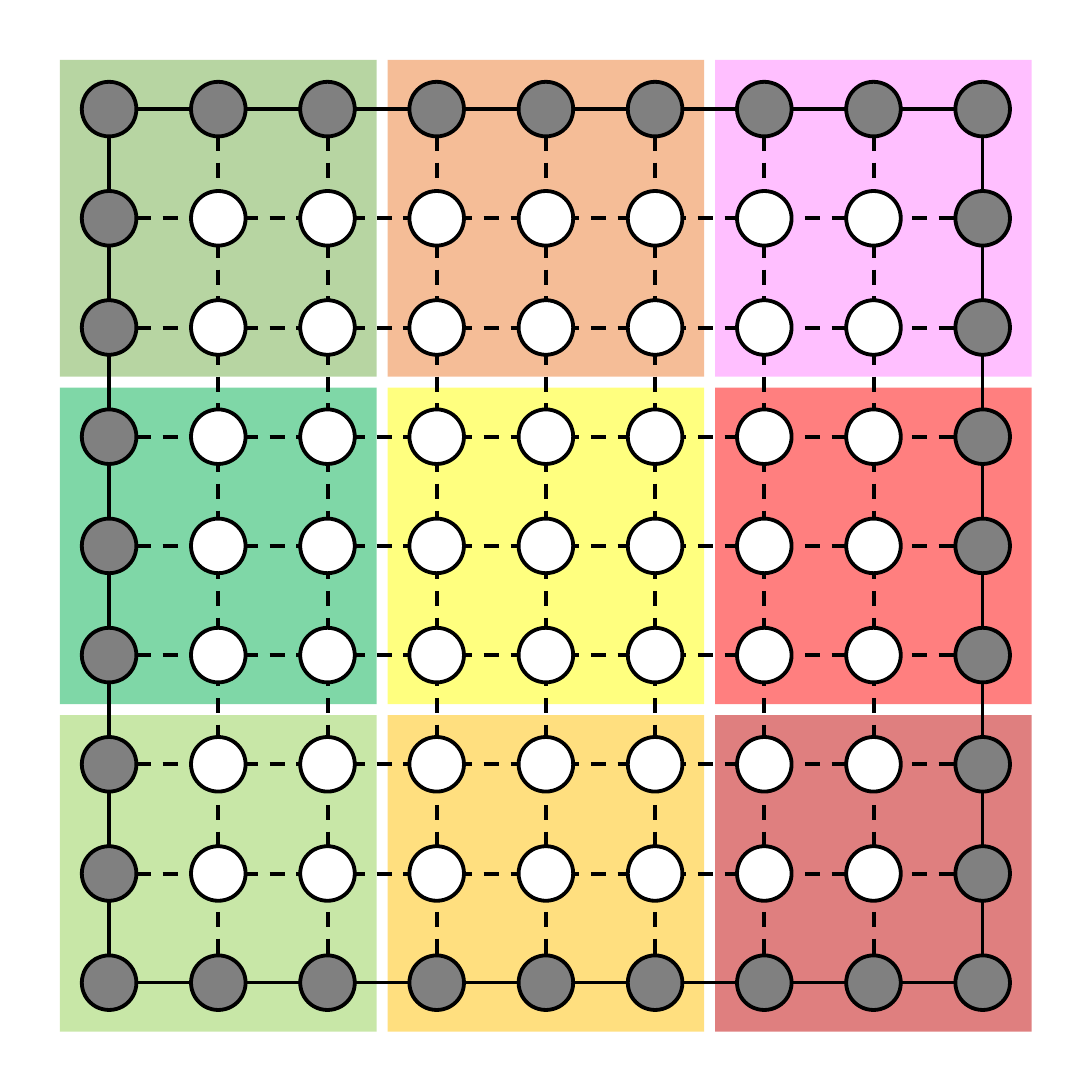
from lxml.etree import SubElement
from pptx import Presentation
from pptx.dml.color import RGBColor
from pptx.enum.dml import MSO_LINE
from pptx.enum.shapes import MSO_CONNECTOR, MSO_SHAPE
from pptx.oxml.ns import qn
from pptx.util import Cm, Pt

# Colour and opacity in percent, by row from the top
TILES = [
    [("70AD47", 50), ("ED7D31", 50), ("FF00FF", 25)],
    [("00B050", 50), ("FFFF00", 50), ("FF0000", 50)],
    [("92D050", 50), ("FFC000", 50), ("C00000", 50)],
]
TILE_GAP = 0.1
NODES = 9
NODE_SIZE = 0.5
BLACK, INNER, BOUNDARY = "000000", "FFFFFF", "808080"


def rgb(color):
    return RGBColor.from_string(color)


def add_shape(s, kind, left, top, size, fill=None, line=None, opacity=100):
    """Add a square-sized shape, with lengths in centimetres."""
    sp = s.shapes.add_shape(kind, Cm(left), Cm(top), Cm(size), Cm(size))
    sp.shadow.inherit = False
    if fill:
        sp.fill.solid()
        sp.fill.fore_color.rgb = rgb(fill)
        if opacity < 100:
            clr = sp.fill._xPr.find(qn("a:solidFill"))[0]
            SubElement(clr, qn("a:alpha"), val=str(opacity * 1000))
    else:
        sp.fill.background()
    if line:
        sp.line.color.rgb = rgb(line)
        sp.line.width = Pt(1)
    else:
        sp.line.fill.background()
    return sp


def add_dashed_line(s, x1, y1, x2, y2):
    cxn = s.shapes.add_connector(
        MSO_CONNECTOR.STRAIGHT, Cm(x1), Cm(y1), Cm(x2), Cm(y2))
    cxn.line.color.rgb = rgb(BLACK)
    cxn.line.width = Pt(1)
    cxn.line.dash_style = MSO_LINE.DASH
    SubElement(cxn._element.spPr, qn("a:effectLst"))


def add_tiles(s, left, top, size):
    """Three by three translucent subdomains."""
    pitch = (size + TILE_GAP) / len(TILES)
    for row, colors in enumerate(TILES):
        for col, (color, opacity) in enumerate(colors):
            add_shape(s, MSO_SHAPE.RECTANGLE, left + col * pitch,
                      top + row * pitch, pitch - TILE_GAP,
                      fill=color, opacity=opacity)


def add_mesh(s, left, top, size):
    """Dashed inner lines, a solid frame and a node at each crossing."""
    step = size / (NODES - 1)
    last = NODES - 1

    # Inner lines
    for i in range(1, last):
        x, y = left + i * step, top + i * step
        add_dashed_line(s, x, top, x, top + size)
        add_dashed_line(s, left, y, left + size, y)

    # Frame
    add_shape(s, MSO_SHAPE.RECTANGLE, left, top, size, line=BLACK)

    # Nodes, grey on the boundary
    for row in range(NODES):
        for col in range(NODES):
            on_edge = row in (0, last) or col in (0, last)
            add_shape(s, MSO_SHAPE.OVAL,
                      left + col * step - NODE_SIZE / 2,
                      top + row * step - NODE_SIZE / 2, NODE_SIZE,
                      fill=BOUNDARY if on_edge else INNER, line=BLACK)


prs = Presentation()
prs.slide_width = prs.slide_height = Cm(10)
s = prs.slides.add_slide(prs.slide_layouts[6])
add_tiles(s, 0.55, 0.55, 8.9)
add_mesh(s, 1, 1, 8)
prs.save("out.pptx")
